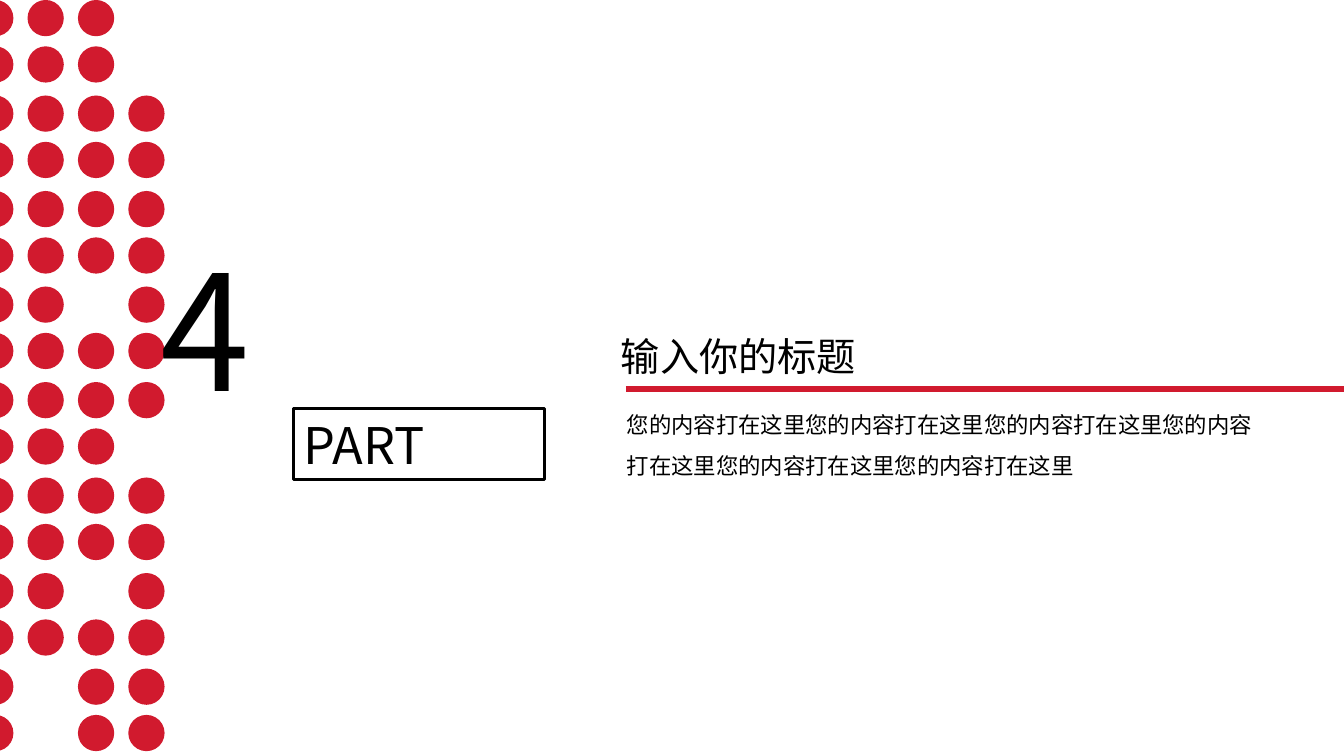
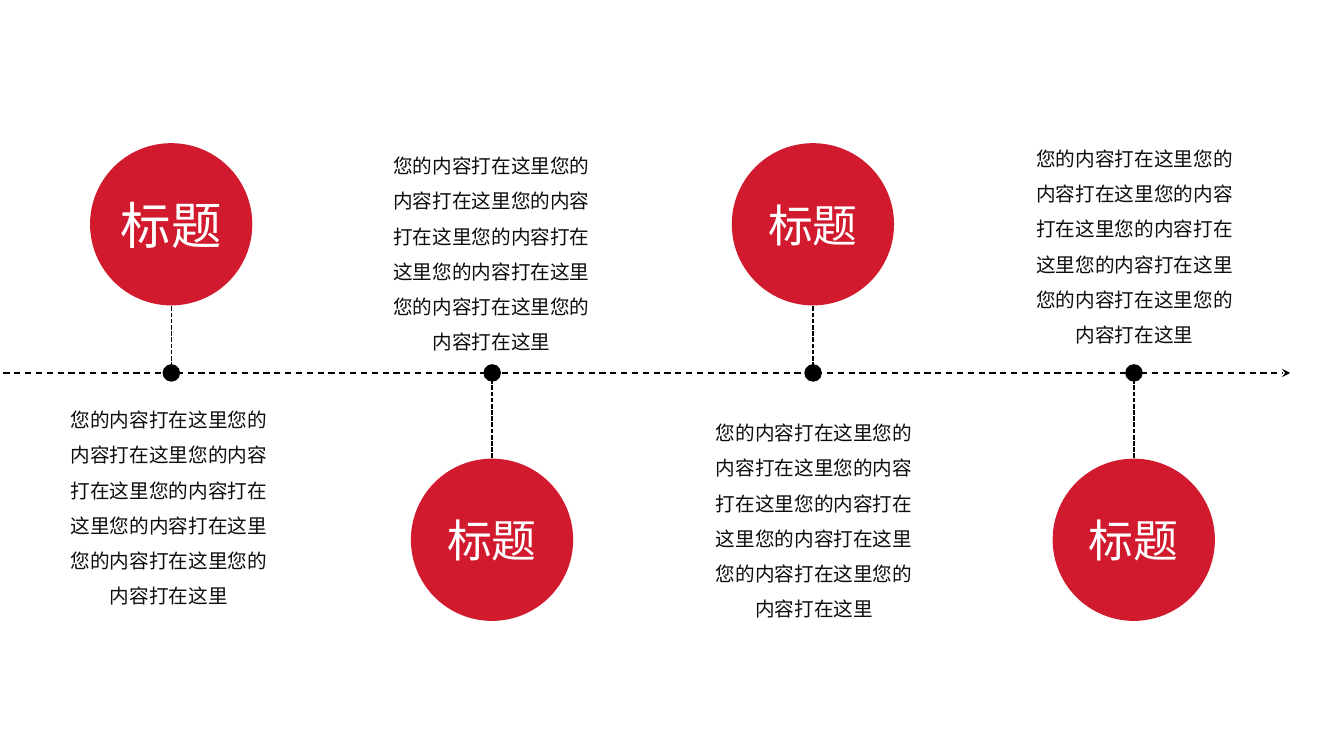
import lxml.etree
import pptx
import pptx.dml.color
import pptx.enum.dml
import pptx.enum.shapes
import pptx.enum.text
import pptx.oxml.ns
import pptx.util

FONT = "Noto Sans CJK SC"
HUES = {"red": "D11A2E", "black": "000000", "ink": "0D0D0D", "white": "FFFFFF"}
KIND = pptx.enum.shapes.MSO_SHAPE
ALIGN = pptx.enum.text.PP_ALIGN
DASH = pptx.enum.dml.MSO_LINE
PHRASE = "您的内容打在这里"

deck = pptx.Presentation()
deck.slide_width = pptx.util.Inches(13.33)
deck.slide_height = pptx.util.Inches(7.5)
COL = deck.slide_width / 40
ROW = deck.slide_height / 30
BLANK = deck.slide_layouts[6]


def put(page, text, x, y, w, h, kind=None, fill=None, edge=0, size=16,
        hue="black", align=ALIGN.LEFT, space=1, pad=(0.3, 0.2), wrap=True):
    area = (round(x * COL), round(y * ROW), round(w * COL), round(h * ROW))
    if kind is None:
        shape = page.shapes.add_textbox(*area)
    else:
        shape = page.shapes.add_shape(kind, *area)
        shape.shadow.inherit = False
        if fill:
            shape.fill.solid()
            shape.fill.fore_color.rgb = pptx.dml.color.RGBColor.from_string(HUES[fill])
        else:
            shape.fill.background()
        if edge:
            shape.line.width = pptx.util.Pt(edge)
            shape.line.color.rgb = pptx.dml.color.RGBColor.from_string(HUES["black"])
        else:
            shape.line.fill.background()
    if not text:
        return
    frame = shape.text_frame
    frame.word_wrap = wrap
    frame.margin_left = frame.margin_right = round(pad[0] * COL)
    frame.margin_top = frame.margin_bottom = round(pad[1] * ROW)
    para = frame.paragraphs[0]
    para.alignment = align
    para.line_spacing = space
    run = para.add_run()
    run.text = text
    run.font.size = pptx.util.Pt(size)
    run.font.color.rgb = pptx.dml.color.RGBColor.from_string(HUES[hue])
    run.font.name = FONT
    east = lxml.etree.SubElement(run.font._element, pptx.oxml.ns.qn("a:ea"))
    east.set("typeface", FONT)


def rule(page, x1, y1, x2, y2, hue="black", width=1.1, dash=None, head=None):
    link = page.shapes.add_connector(
        pptx.enum.shapes.MSO_CONNECTOR.STRAIGHT,
        round(x1 * COL), round(y1 * ROW), round(x2 * COL), round(y2 * ROW))
    link.line.width = pptx.util.Pt(width)
    link.line.color.rgb = pptx.dml.color.RGBColor.from_string(HUES[hue])
    if dash:
        link.line.dash_style = dash
    if head:
        tip = lxml.etree.SubElement(link.line._get_or_add_ln(), pptx.oxml.ns.qn("a:tailEnd"))
        tip.set("type", head)
    lxml.etree.SubElement(link._element.spPr, pptx.oxml.ns.qn("a:effectLst"))


part = deck.slides.add_slide(BLANK)
DOTS = ["ooo.", "ooo.", "oooo", "oooo", "oooo", "oooo", "oo.o", "oooo",
        "oooo", "ooo.", "oooo", "oooo", "oo.o", "oooo", "o.oo", "o.oo"]
for row, marks in enumerate(DOTS):
    top = row // 2 * 3.79 + row % 2 * 1.84
    for col, mark in enumerate(marks):
        if mark == "o":
            put(part, "", col * 1.5 - 0.68, top, 1.08, 1.44, kind=KIND.OVAL, fill="red")
put(part, "4", 4.47, 8.96, 16, 8.16, size=115)
put(part, "PART", 8.73, 16.2, 7.47, 2.84, kind=KIND.RECTANGLE, edge=2, size=36)
put(part, "输入你的标题", 18.3, 13.08, 10.65, 2.12, size=28, pad=(0.18, 0.12))
rule(part, 18.63, 15.44, 40, 15.44, hue="red", width=4.5)
put(part, PHRASE * 6, 18.45, 15.64, 19.05, 3.36, space=1.5, pad=(0.21, 0.16))

time = deck.slides.add_slide(BLANK)
AXIS = 14.8
STOPS = [(36, 1.78, 15.56), (32, 11.38, 5.48), (32, 20.98, 16.08), (32, 30.52, 5.2)]
rule(time, 0.1, AXIS, 38.4, AXIS, dash=DASH.DASH, head="stealth")
for step, (size, left, top) in enumerate(STOPS):
    mid = 5.1 + step * 9.55
    disc, end = (18.2, 18.28) if step % 2 else (5.68, 11.24)
    rule(time, mid, AXIS, mid, end, dash=DASH.SQUARE_DOT)
    put(time, "", mid - 0.24, AXIS - 0.32, 0.48, 0.64, kind=KIND.OVAL, fill="black", edge=1)
    put(time, PHRASE * 7, left, top, 6.5, 8.64, size=14, hue="ink",
        align=ALIGN.CENTER, space=1.5, pad=(0.21, 0.16))
    put(time, "标题", mid - 2.42, disc, 4.83, 6.44, kind=KIND.OVAL, fill="red",
        size=size, hue="white", align=ALIGN.CENTER, wrap=False)

deck.save("out.pptx")
